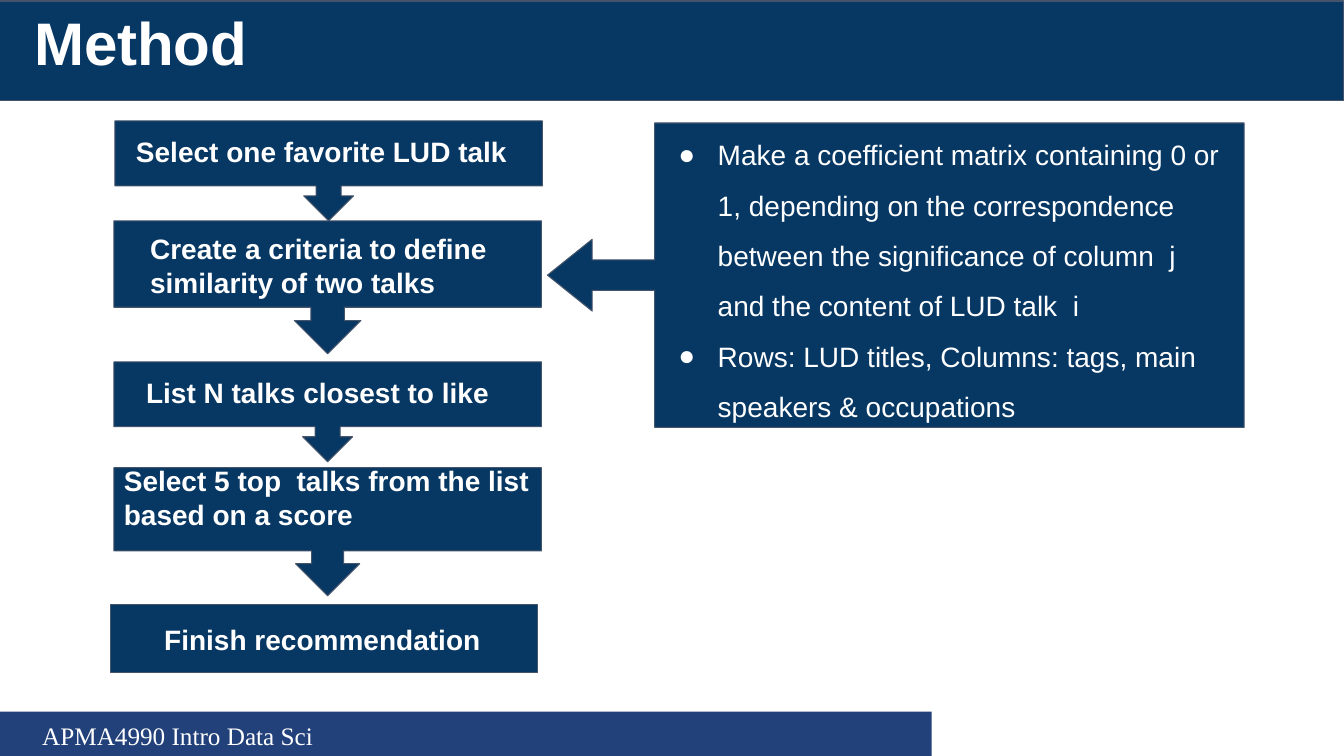
from dataclasses import dataclass

from lxml.etree import SubElement
from pptx import Presentation
from pptx.dml.color import RGBColor
from pptx.enum.shapes import MSO_SHAPE as Shape
from pptx.enum.text import MSO_ANCHOR as Anchor
from pptx.oxml.ns import qn
from pptx.util import Inches, Pt


@dataclass(frozen=True)
class Theme:
    navy: str = "073763"
    footer: str = "22417A"
    outline: str = "44546A"
    white: str = "FFFFFF"
    sans: str = "Arial"
    serif: str = "Times New Roman"
    title_size: float = 42.9
    body_size: float = 20
    footer_size: float = 18
    outline_width: float = 0.75


def write_text(para, text, *, font, size, color, bold=False, spacing=None):
    span = para.add_run()
    span.text = text
    span.font.name = font
    span.font.size = Pt(size)
    span.font.bold = bold
    span.font.color.rgb = RGBColor.from_string(color)
    if spacing:
        para.line_spacing = spacing


class SlideBuilder:
    def __init__(self, page, theme):
        self.page = page
        self.theme = theme

    def block(self, kind, place, fill=None, outlined=True, adjustments=()):
        box = self.page.shapes.add_shape(kind, *map(Inches, place))
        box.shadow.inherit = False
        box.fill.solid()
        box.fill.fore_color.rgb = RGBColor.from_string(fill or self.theme.navy)
        if outlined:
            box.line.color.rgb = RGBColor.from_string(self.theme.outline)
            box.line.width = Pt(self.theme.outline_width)
        else:
            box.line.fill.background()
        for index, value in enumerate(adjustments):
            box.adjustments[index] = value

    def frame(self, place, anchor=Anchor.TOP, inset=0.1, top_inset=None):
        frame = self.page.shapes.add_textbox(*map(Inches, place)).text_frame
        frame.word_wrap = True
        frame.vertical_anchor = anchor
        frame.margin_left = frame.margin_right = Inches(0.1)
        frame.margin_top = Inches(inset if top_inset is None else top_inset)
        frame.margin_bottom = Inches(inset)
        return frame

    def label(self, text, place, anchor=Anchor.TOP, inset=0.1, **changes):
        style = dict(font=self.theme.sans, size=self.theme.body_size,
                     color=self.theme.white, bold=True)
        frame = self.frame(place, anchor, inset)
        write_text(frame.paragraphs[0], text, **(style | changes))

    def bullets(self, items, place, top_inset):
        frame = self.frame(place, top_inset=top_inset)
        for index, item in enumerate(items):
            para = frame.add_paragraph() if index else frame.paragraphs[0]
            write_text(para, item, font=self.theme.sans, size=self.theme.body_size,
                       color=self.theme.white, spacing=1.5)
            props = para._p.get_or_add_pPr()
            props.set("marL", str(Inches(1)))
            props.set("indent", str(Inches(-0.39)))
            color = SubElement(props, qn("a:buClr"))
            SubElement(color, qn("a:srgbClr"), val=self.theme.white)
            SubElement(props, qn("a:buFont"), typeface=self.theme.sans)
            SubElement(props, qn("a:buChar"), char="●")


STEPS = [
    ("Select one favorite LUD talk", (1.14, 1.2, 4.24, 0.99), (1.25, 1.12, 4.35, 0.76)),
    ("Create a criteria to define similarity of two talks",
     (1.13, 2.19, 4.24, 1.32), (1.39, 2.25, 4.35, 0.76)),
    ("List N talks closest to like", (1.13, 3.59, 4.24, 0.99), (1.35, 3.51, 4.35, 0.76)),
    ("Select 5 top  talks from the list based on a score",
     (1.13, 4.64, 4.24, 1.27), (1.13, 4.45, 4.71, 0.97)),
]

CRITERIA = [
    "Make a coefficient matrix containing 0 or 1, depending on the correspondence "
    "between the significance of column  j  and the content of LUD talk  i",
    "Rows: LUD titles, Columns: tags, main speakers & occupations",
]


def main():
    deck = Presentation()
    deck.slide_width, deck.slide_height = Inches(13.33), Inches(7.5)
    theme = Theme()
    slide = SlideBuilder(deck.slides.add_slide(deck.slide_layouts[6]), theme)

    slide.block(Shape.RECTANGLE, (0, 7.06, 9.24, 0.44), theme.footer, outlined=False)
    slide.label("APMA4990 Intro Data Sci", (0.32, 7.1, 2.97, 0.4), inset=0.05,
                font=theme.serif, size=theme.footer_size, bold=False)
    slide.block(Shape.RECTANGLE, (0, 0.01, 13.33, 0.99))
    slide.label("Method", (0.24, 0.09, 2.33, 0.94), inset=0.05,
                size=theme.title_size, spacing=0.9)

    for text, callout, caption in STEPS:
        slide.block(Shape.DOWN_ARROW_CALLOUT, callout,
                    adjustments=(0.25, 0.25, 0.25, 0.65))
        slide.label(text, caption, Anchor.MIDDLE)

    slide.block(Shape.LEFT_ARROW_CALLOUT, (5.43, 1.22, 6.91, 3.02),
                adjustments=(0.1, 0.118, 0.147, 0.846))
    slide.bullets(CRITERIA, (6.02, 0.77, 6.31, 3.75), top_inset=0.43)

    slide.block(Shape.RECTANGLE, (1.1, 6, 4.23, 0.67))
    slide.label("Finish recommendation", (1.53, 6.08, 3.58, 0.55))

    deck.save("out.pptx")


if __name__ == "__main__":
    main()
